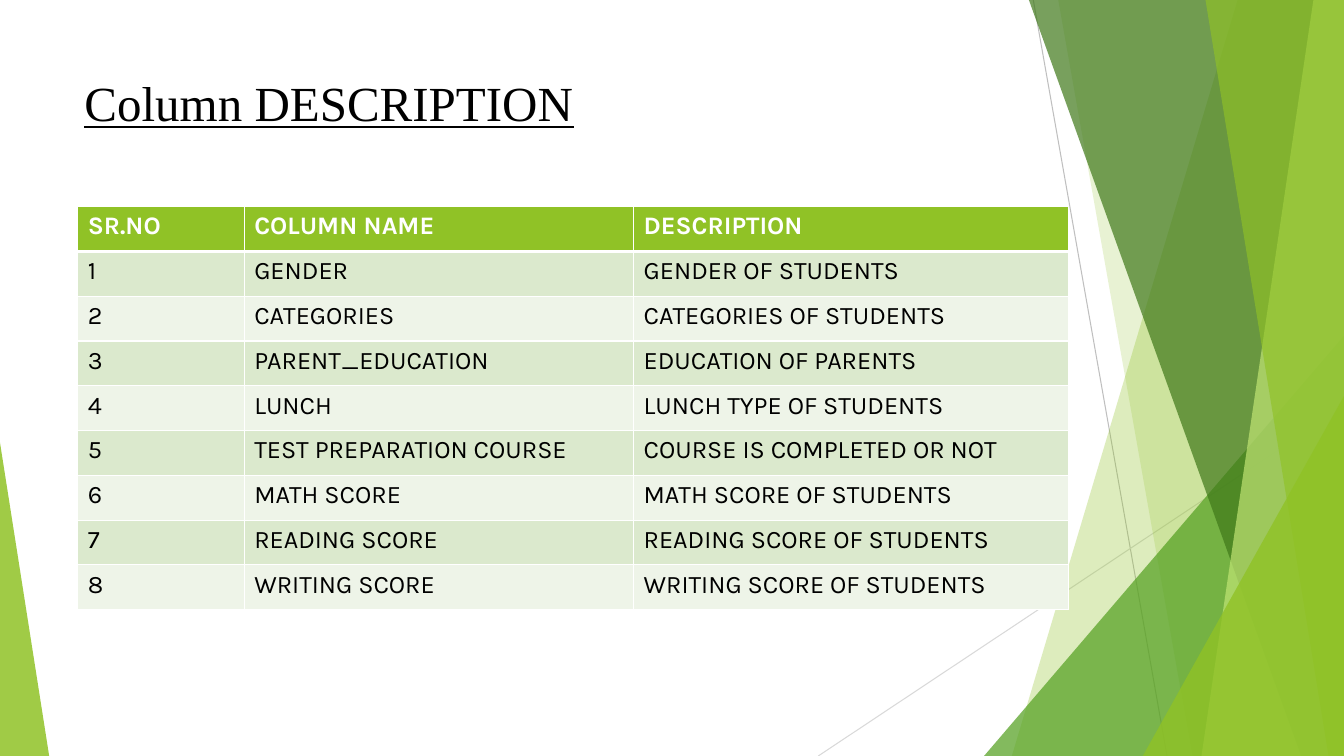
from lxml import etree
from pptx import Presentation
from pptx import util as u
from pptx.dml.color import RGBColor
from pptx.enum import shapes
from pptx.oxml import ns

WIDTH, HEIGHT = u.Cm(33.87), u.Cm(19.05)
BLACK = RGBColor(0x00, 0x00, 0x00)
WHITE = RGBColor(0xFF, 0xFF, 0xFF)
LIME = RGBColor(0x90, 0xC2, 0x26)
PALE = RGBColor(0xC0, 0xE4, 0x74)
GREEN = RGBColor(0x54, 0xA0, 0x21)
FOREST = RGBColor(0x3F, 0x78, 0x19)
BANDS = [RGBColor(0xEE, 0xF4, 0xE8), RGBColor(0xDB, 0xE9, 0xCD)]
SILVER = RGBColor(0xBF, 0xBF, 0xBF)
MIST = RGBColor(0xD9, 0xD9, 0xD9)

HEADER = ("SR.NO", "COLUMN NAME", "DESCRIPTION")
FIELDS = [
    ("GENDER", "GENDER OF STUDENTS"),
    ("CATEGORIES", "CATEGORIES OF STUDENTS"),
    ("PARENT_EDUCATION", "EDUCATION OF PARENTS"),
    ("LUNCH", "LUNCH TYPE OF STUDENTS"),
    ("TEST PREPARATION COURSE", "COURSE IS COMPLETED OR NOT"),
    ("MATH SCORE", "MATH SCORE OF STUDENTS"),
    ("READING SCORE", "READING SCORE OF STUDENTS"),
    ("WRITING SCORE", "WRITING SCORE OF STUDENTS"),
]


def write(frame, words, font="Karla", size=18, color=BLACK, bold=False, line=False):
    run = frame.paragraphs[0].add_run()
    run.text = words
    run.font.name, run.font.size = font, u.Pt(size)
    run.font.color.rgb = color
    run.font.bold, run.font.underline = bold, line


def tint(shape, color, alpha):
    """Fill a shape without outline; alpha is the opacity in percent."""
    shape.shadow.inherit = False
    shape.line.fill.background()
    shape.fill.solid()
    shape.fill.fore_color.rgb = color
    tone = shape.fill._xPr.find(".//" + ns.qn("a:srgbClr"))
    etree.SubElement(tone, ns.qn("a:alpha"), val=str(alpha * 1000))


def draw_line(slide, x1, y1, x2, y2, color):
    line = slide.shapes.add_connector(shapes.MSO_CONNECTOR.STRAIGHT, x1, y1, x2, y2)
    line.line.color.rgb = color
    line.line.width = u.Pt(0.75)
    etree.SubElement(line._element.spPr, ns.qn("a:effectLst"))


def draw_wedge(slide, left, top, width, height, color, alpha, peak):
    """Triangle whose peak is at the left (0) or right (1) end."""
    wedge = slide.shapes.add_shape(
        shapes.MSO_SHAPE.ISOSCELES_TRIANGLE, left, top, width, height)
    wedge.adjustments[0] = peak
    tint(wedge, color, alpha)


def draw_facets(slide, left, top, width, height):
    """Overlapping translucent panels against the right edge of the box."""
    right, base = left + width, top + height

    def panel(high, low, color, alpha):
        start = left + u.Cm(high)
        form = slide.shapes.build_freeform(start, top)
        form.add_line_segments(
            [(right, top), (right, base), (left + u.Cm(low), base)], close=True)
        tint(form.convert_to_shape(), color, alpha)

    def corner(inset, tall, color, alpha):
        draw_wedge(slide, left + u.Cm(inset), base - u.Cm(tall),
                   width - u.Cm(inset), u.Cm(tall), color, alpha, 1)

    draw_line(slide, left + u.Cm(1.24), top, left + u.Cm(4.61), base, SILVER)
    draw_line(slide, right, top + u.Cm(10.24), left - u.Cm(4.18), base, MIST)
    panel(6.39, 0.7, LIME, 30)
    panel(1.87, 5.25, LIME, 20)
    corner(0, 10.59, GREEN, 72)
    panel(1.13, 7.99, FOREST, 70)
    panel(8.3, 5.48, PALE, 70)
    panel(5.58, 8.68, LIME, 65)
    corner(4, 9.07, LIME, 80)


def draw_title(slide, left, top, width, height):
    box = slide.shapes.add_textbox(left, top, width, height)
    box.text_frame.word_wrap = True
    write(box.text_frame, "Column DESCRIPTION", font="Times New Roman", size=35, line=True)


def edge_cell(cell, above, below):
    """White borders; above and below are the widths in points."""
    props = cell._tc.get_or_add_tcPr()
    for side, width in zip("LRTB", (1, 1, above, below)):
        edge = etree.SubElement(props, ns.qn("a:ln" + side), w=str(u.Pt(width)))
        fill = etree.SubElement(edge, ns.qn("a:solidFill"))
        etree.SubElement(fill, ns.qn("a:srgbClr"), val=str(WHITE))


def draw_table(slide, left, top, width, height):
    rows = [HEADER] + [(str(n), *field) for n, field in enumerate(FIELDS, 1)]
    table = slide.shapes.add_table(
        len(rows), len(HEADER), left, top, width, height).table
    for column, share in zip(table.columns, (0.168, 0.393, 0.439)):
        column.width = int(width * share)
    for r, row in enumerate(rows):
        head = r == 0
        for c, words in enumerate(row):
            cell = table.cell(r, c)
            edge_cell(cell, above=3 if r == 1 else 1, below=3 if head else 1)
            cell.fill.solid()
            cell.fill.fore_color.rgb = LIME if head else BANDS[r % 2]
            write(cell.text_frame, words, color=WHITE if head else BLACK, bold=head)


def main():
    deck = Presentation()
    deck.slide_width, deck.slide_height = WIDTH, HEIGHT
    slide = deck.slides.add_slide(deck.slide_layouts[6])
    draw_facets(slide, u.Cm(24.8), 0, WIDTH - u.Cm(24.8), HEIGHT)
    draw_wedge(slide, 0, HEIGHT - u.Cm(7.9), u.Cm(1.24), u.Cm(7.9), LIME, 85, 0)
    draw_title(slide, u.Cm(1.88), u.Cm(1.7), u.Cm(23.88), u.Cm(3.66))
    draw_table(slide, u.Cm(1.96), u.Cm(5.21), u.Cm(24.97), u.Cm(10.16))
    deck.save("out.pptx")


if __name__ == "__main__":
    main()
